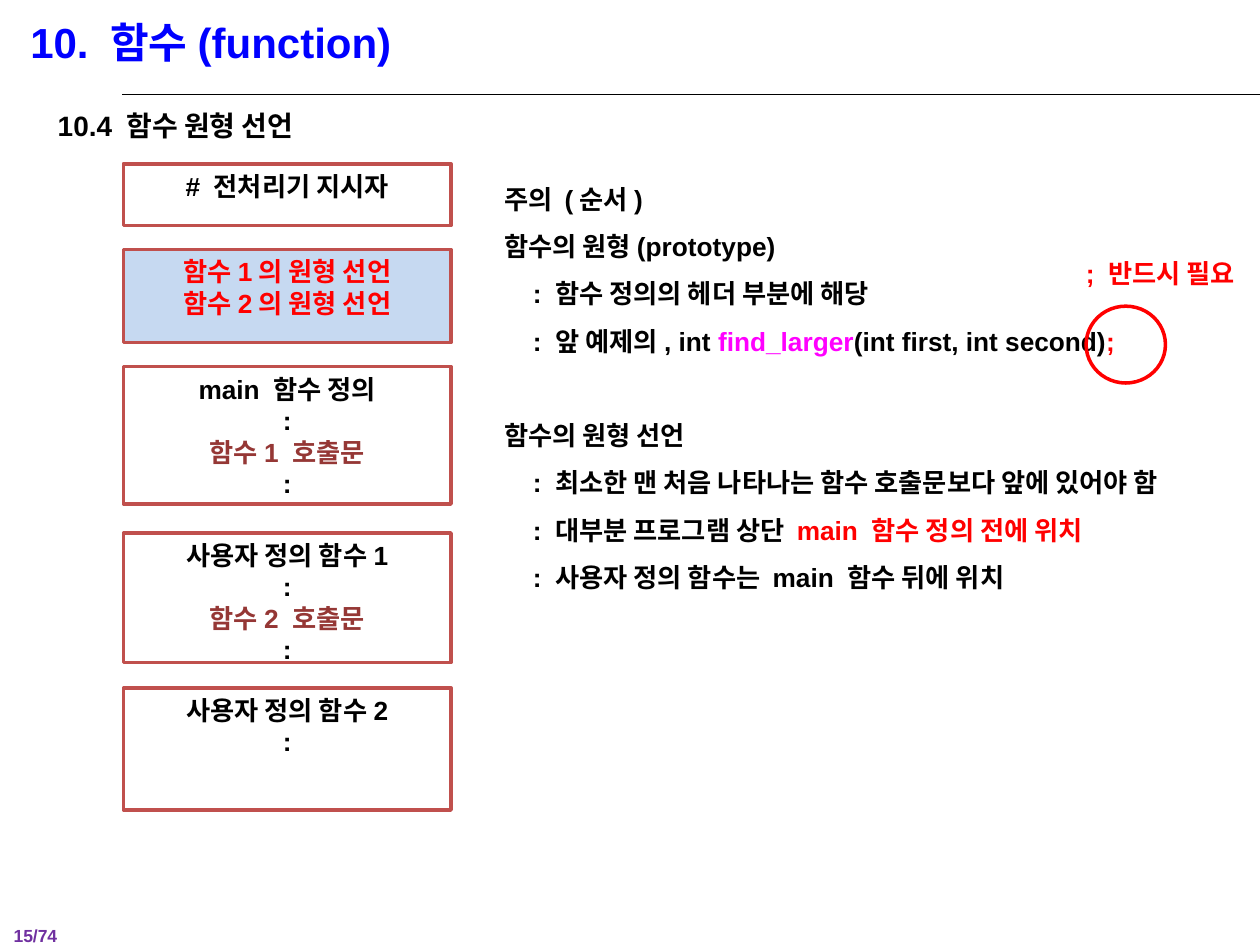
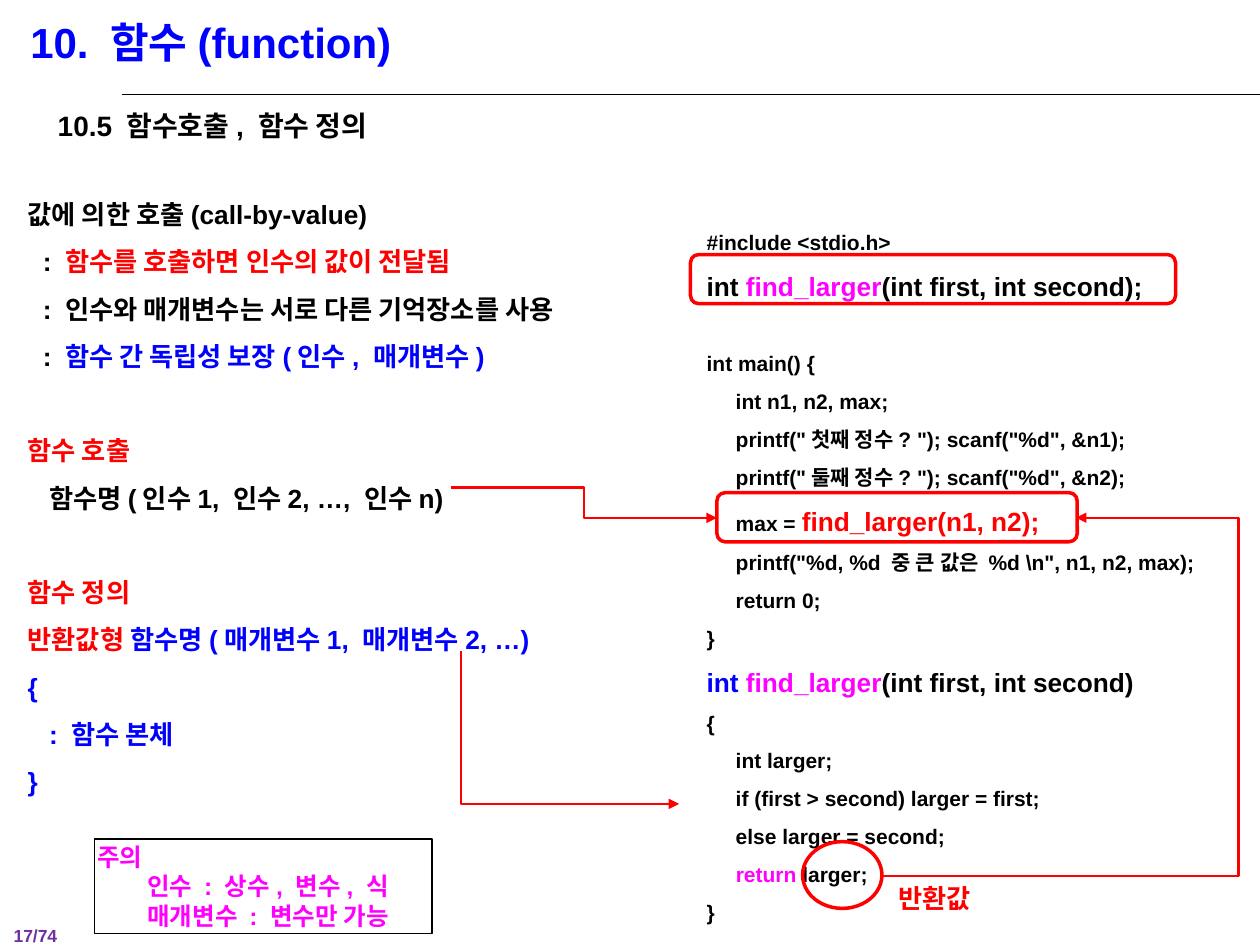
import lxml.etree
import pptx
import pptx.dml.color
import pptx.enum.shapes
import pptx.enum.text
import pptx.oxml.ns
import pptx.util

tint = {
    "black": "000000", "white": "FFFFFF", "blue": "0000FF", "red": "FF0000",
    "pink": "FF00FF", "wine": "953735", "brick": "C0504D", "sky": "C6D9F1",
    "plum": "7030A0",
}
hue = {key: pptx.dml.color.RGBColor.from_string(val) for key, val in tint.items()}

deck = pptx.Presentation()
deck.slide_width = pptx.util.Inches(10)
deck.slide_height = pptx.util.Inches(7.5)
col = deck.slide_width / 100
row = deck.slide_height / 75

Kind = pptx.enum.shapes.MSO_SHAPE
Link = pptx.enum.shapes.MSO_CONNECTOR
Side = pptx.enum.text.PP_ALIGN
Hold = pptx.enum.text.MSO_ANCHOR
name = pptx.oxml.ns.qn


def place(left, top, *size):
    spots = [left * col, top * row]
    spots += [val * unit for val, unit in zip(size, (col, row))]
    return [round(val) for val in spots]


def write(frame, lines, size, pace=1.5, align=Side.LEFT, hold=Hold.TOP, inset=None):
    form = {"word_wrap": True, "vertical_anchor": hold,
            "auto_size": pptx.enum.text.MSO_AUTO_SIZE.NONE}
    if inset is not None:
        for edge in ("left", "top", "right", "bottom"):
            form["margin_" + edge] = round(inset * col)
    for key, val in form.items():
        setattr(frame, key, val)
    for num, (pad, gap, *runs) in enumerate(lines):
        par = frame.add_paragraph() if num else frame.paragraphs[0]
        prop = par._p.get_or_add_pPr()
        prop.set("marL", str(round(pad * col)))
        prop.set("indent", "0")
        lxml.etree.SubElement(prop, name("a:buNone"))
        form = {"line_spacing": pace, "alignment": align,
                "space_before": pptx.util.Pt(gap), "space_after": pptx.util.Pt(0)}
        for key, val in form.items():
            setattr(par, key, val)
        for text, shade, *own in runs:
            run = par.add_run()
            run.text = text
            run.font.color.rgb = hue[shade]
            form = {"name": "Arial", "bold": True,
                    "size": pptx.util.Pt(own[0] if own else size)}
            for key, val in form.items():
                setattr(run.font, key, val)


gap = 27
proto = {
    "page": "15/74",
    "head": "10.4 함수 원형 선언",
    "spot": (39, 12.8, 61, 35.1),
    "list": [
        (0, 0, ("주의 (순서)", "black")),
        (0, 0, ("함수의 원형(prototype)", "black")),
        (2.3, 0, (": 함수 정의의 헤더 부분에 해당", "black")),
        (2.3, 0, (": 앞 예제의, int ", "black"), ("find_larger", "pink"),
         ("(int first, int second)", "black"), (";", "red")),
        (0, gap, ("함수의 원형 선언", "black")),
        (2.3, 0, (": 최소한 맨 처음 나타나는 함수 호출문보다 앞에 있어야 함", "black")),
        (2.3, 0, (": 대부분 프로그램 상단 ", "black"), ("main 함수 정의 전에 위치", "red")),
        (2.3, 0, (": 사용자 정의 함수는 main 함수 뒤에 위치", "black")),
    ],
    "code": [],
    "stack": [
        (13, 4.9, "white", [("# 전처리기 지시자", "black")]),
        (19.8, 7.4, "sky", [("함수1의 원형 선언", "red"), ("함수2의 원형 선언", "red")]),
        (29.1, 10.9, "white", [("main 함수 정의", "black"), (":", "black"),
                               ("함수1 호출문", "wine"), (":", "black")]),
        (42.3, 10.3, "white", [("사용자 정의 함수1", "black"), (":", "black"),
                               ("함수2 호출문", "wine"), (":", "black")]),
        (54.6, 9.7, "white", [("사용자 정의 함수2", "black"), (":", "black")]),
    ],
    "marks": [(Kind.OVAL, 86.2, 24.3, 6.3, 6.1)],
    "note": ("; 반드시 필요", 85.2, 18.4),
    "warn": [],
    "links": [],
}

call = {
    "page": "17/74",
    "head": "10.5 함수호출, 함수 정의",
    "spot": (1.2, 14, 61, 50.2),
    "list": [
        (0, 0, ("값에 의한 호출(call-by-value)", "black")),
        (1.2, 0, (": ", "black"), ("함수를 호출하면 인수의 값이 전달됨", "red")),
        (1.2, 0, (": 인수와 매개변수는 서로 다른 기억장소를 사용", "black")),
        (1.2, 0, (": ", "black"), ("함수 간 독립성 보장(인수, 매개변수)", "blue")),
        (0, gap, ("함수 호출", "red")),
        (1.7, 0, ("함수명(인수1, 인수2, …, 인수n)", "black")),
        (0, gap, ("함수 정의", "red")),
        (0, 0, ("반환값형 ", "red"), ("함수명(매개변수1, 매개변수2, …)", "blue")),
        (0, 0, ("{", "blue")),
        (1.7, 0, (": 함수 본체", "blue")),
        (0, 0, ("}", "blue")),
    ],
    "code": [
        (0, 0, ("#include <stdio.h>", "black")),
        (0, 0, ("int ", "black", 15), ("find_larger", "pink", 15),
         ("(int first, int second);", "black", 15)),
        (0, 21, ("int main() {", "black")),
        (0, 0, ("     int n1, n2, max;", "black")),
        (0, 0, ('     printf("첫째 정수? "); scanf("%d", &n1);', "black")),
        (0, 0, ('     printf("둘째 정수? "); scanf("%d", &n2);', "black")),
        (0, 0, ("     max = ", "black"), ("find_larger(n1, n2);", "red", 15)),
        (0, 0, (r'     printf("%d, %d 중 큰 값은 %d \n", n1, n2, max);', "black")),
        (0, 0, ("     return 0;", "black")),
        (0, 0, ("}", "black")),
        (0, 0, ("int ", "blue", 15), ("find_larger", "pink", 15),
         ("(int first, int second)", "black", 15)),
        (0, 0, ("{", "black")),
        (0, 0, ("     int larger;", "black")),
        (0, 0, ("     if (first > second) larger = first;", "black")),
        (0, 0, ("     else larger = second;", "black")),
        (0, 0, ("     ", "black"), ("return", "pink"), (" larger;", "black")),
        (0, 0, ("}", "black")),
    ],
    "stack": [],
    "marks": [
        (Kind.ROUNDED_RECTANGLE, 54.8, 20.2, 38.5, 3.9),
        (Kind.ROUNDED_RECTANGLE, 56.9, 39.1, 28.6, 3.9),
        (Kind.OVAL, 63.7, 66.8, 6.3, 5.3),
    ],
    "note": ("반환값", 70.3, 68),
    "warn": [
        (0, 0, ("주의", "pink")),
        (4, 0, ("인수 : 상수, 변수, 식", "pink")),
        (4, 0, ("매개변수 : 변수만 가능", "pink")),
    ],
    "links": [
        (35.8, 38.7, 56.9, 41.1, 50000),
        (36.6, 51.7, 53.9, 63.8, 0),
        (70, 69.5, 85.4, 41.1, 183700),
    ],
}

for page in (proto, call):
    slide = deck.slides.add_slide(deck.slide_layouts[1])
    shapes = slide.shapes
    title, body = slide.placeholders
    for item, spot in ((title, (1.4, 0.8, 92.7, 5.1)), (body, page["spot"])):
        for key, val in zip(("left", "top", "width", "height"), place(*spot)):
            setattr(item, key, val)
    write(title.text_frame, [(0, 0, ("10. 함수(function)", "blue"))], 24, 1)
    write(body.text_frame, page["list"], 15)

    note, left, top = page["note"]
    texts = [
        ((0.1, 72.1, 7.4, 2.7), [(0, 0, (page["page"], "plum"))], 10, 1.5, Hold.TOP),
        ((3.6, 6.8, 89.8, 5), [(0, 0, (page["head"], "black"))], 16, 1.5, Hold.TOP),
        ((left, top, 14.4, 6.5), [(0, 0, (note, "red"))], 15, 1, Hold.MIDDLE),
    ]
    if page["code"]:
        texts.append(((55.1, 16.7, 44.5, 57.8), page["code"], 12, 1.5, Hold.TOP))
    for spot, lines, size, pace, hold in texts:
        write(shapes.add_textbox(*place(*spot)).text_frame, lines, size, pace, hold=hold)

    frames = [(Kind.RECTANGLE, (9.8, top, 26, high), fill, "brick", 2,
               [(0, 0, run) for run in runs], 15, Side.CENTER, None)
              for top, high, fill, runs in page["stack"]]
    frames += [(kind, spot, None, "red", 2, [], 15, Side.LEFT, None)
               for kind, *spot in page["marks"]]
    if page["warn"]:
        frames.append((Kind.RECTANGLE, (7.5, 66.6, 26.8, 7.5), None, "black", 0.75,
                       page["warn"], 14, Side.LEFT, 0.2))
    for kind, spot, fill, edge, wide, lines, size, align, inset in frames:
        shape = shapes.add_shape(kind, *place(*spot))
        shape.shadow.inherit = False
        if fill:
            shape.fill.solid()
            shape.fill.fore_color.rgb = hue[fill]
        else:
            shape.fill.background()
        shape.line.color.rgb = hue[edge]
        shape.line.width = pptx.util.Pt(wide)
        write(shape.text_frame, lines, size, 1, align, inset=inset)

    links = [(Link.STRAIGHT, (9.7, 7.5, 100, 7.5), "black", 0.75, None)]
    links += [(Link.ELBOW, ends, "red", 1.25, bend) for *ends, bend in page["links"]]
    for kind, ends, shade, wide, bend in links:
        link = shapes.add_connector(kind, *place(*ends[:2]), *place(*ends[2:]))
        link.line.color.rgb = hue[shade]
        link.line.width = pptx.util.Pt(wide)
        prop = link._element.spPr
        lxml.etree.SubElement(prop, name("a:effectLst"))
        if bend is not None:
            lxml.etree.SubElement(prop.find(name("a:ln")), name("a:tailEnd"), type="triangle")
            lxml.etree.SubElement(prop.find(".//" + name("a:avLst")), name("a:gd"),
                                  name="adj1", fmla=f"val {bend}")

deck.save("out.pptx")
